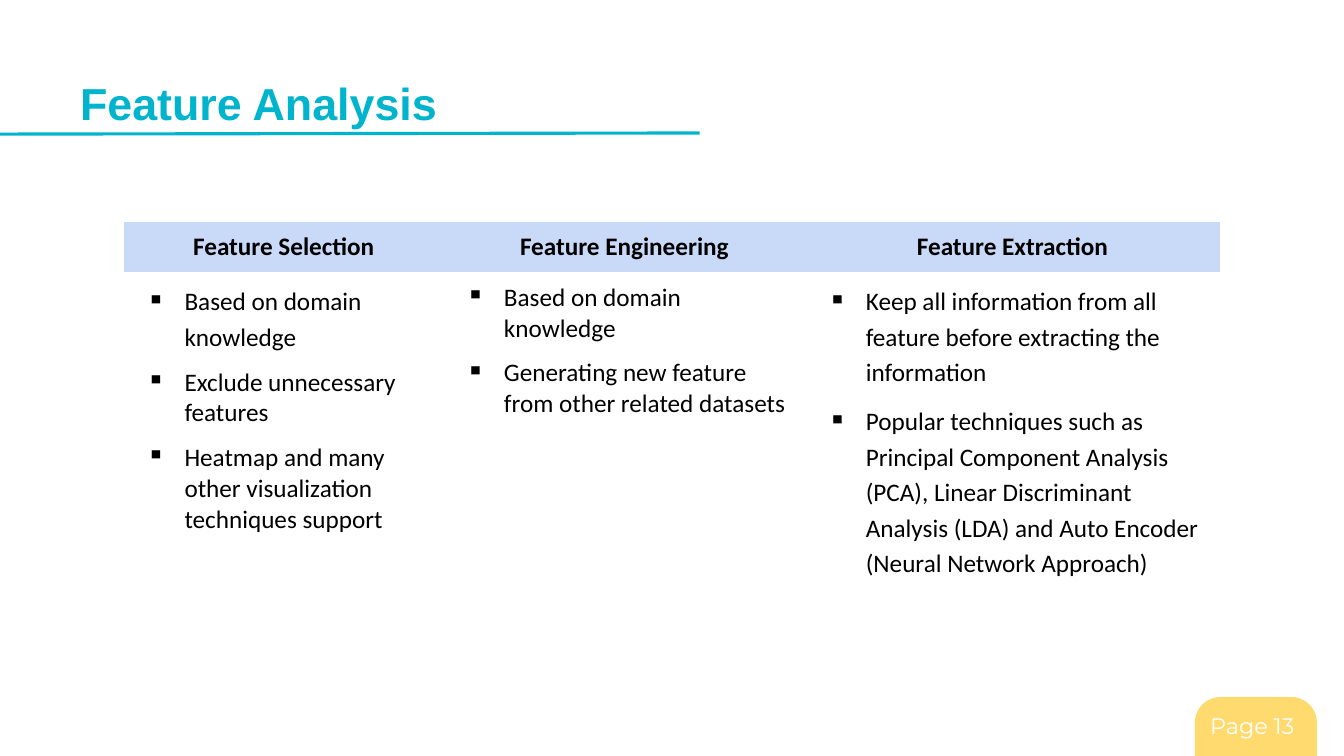
from lxml import etree
from pptx import Presentation
from pptx.dml.color import RGBColor
from pptx.enum import shapes, text
from pptx.oxml import parse_xml
from pptx.oxml.ns import nsdecls, qn
from pptx.util import Pt

TITLE = "Feature Analysis"
PAGE_LABEL = "Page 13"
# Each column: heading, width, bullets as (text, line spacing)
COLUMNS = [
    ("Feature Selection", 228.2, [
        ("Based on domain knowledge", 1.15),
        ("Exclude unnecessary features", 1.0),
        ("Heatmap and many other visualization techniques support", 1.0),
    ]),
    ("Feature Engineering", 258.5, [
        ("Based on domain knowledge", 1.0),
        ("Generating new feature from other related datasets", 1.0),
    ]),
    ("Feature Extraction", 295.9, [
        ("Keep all information from all feature before extracting the information", 1.15),
        ("Popular techniques such as Principal Component Analysis (PCA), "
         "Linear Discriminant Analysis (LDA) and Auto Encoder "
         "(Neural Network Approach)", 1.15),
    ]),
]
ROW_HEIGHTS = (18, 266.4)
THEME = {
    "accent": "00B4CE", "header": "C9DAF8", "tab": "FFDA6E",
    "ink": "000000", "light": "FFFFFF",
    "title_size": 32, "page_size": 16, "body_size": 18,
    "title_font": "Arial", "page_font": "Montserrat", "body_font": "Calibri",
}
NO_GRID_STYLE = "{2D5ABB26-0587-4C30-8999-92F81FD0307C}"


def color(name):
    return RGBColor.from_string(THEME[name])


def write(para, words, kind="body", ink="ink", bold=False, align=None,
          spacing=None, before=0, bullet=None):
    """Put one formatted run into a paragraph."""
    if bullet:
        properties = para._p.get_or_add_pPr()
        properties.set("marL", str(Pt(36)))
        properties.set("indent", str(-Pt(27)))
        mark_color = etree.SubElement(properties, qn("a:buClr"))
        etree.SubElement(mark_color, qn("a:srgbClr"), val=THEME["ink"])
        etree.SubElement(properties, qn("a:buChar"), char=bullet)
    if align is not None:
        para.alignment = align
    if spacing:
        para.line_spacing = spacing
    if before:
        para.space_before = Pt(before)
    span = para.add_run()
    span.text = words
    span.font.name = THEME[kind + "_font"]
    span.font.size = Pt(THEME[kind + "_size"])
    span.font.bold = bold
    span.font.color.rgb = color(ink)
    return span


def add_label(page, left, top, width, height, words, **style):
    box = page.shapes.add_textbox(Pt(left), Pt(top), Pt(width), Pt(height))
    frame = box.text_frame
    frame.word_wrap = True
    frame.margin_left = frame.margin_right = Pt(9)
    frame.margin_top = frame.margin_bottom = Pt(9)
    return write(frame.paragraphs[0], words, **style)


def add_page_tab(page):
    tab = page.shapes.add_shape(shapes.MSO_SHAPE.ROUND_2_SAME_RECTANGLE,
                                Pt(853.9), Pt(498.2), Pt(86.4), Pt(41.8))
    tab.adjustments[0] = 0.43
    tab.shadow.inherit = False
    tab.fill.solid()
    tab.fill.fore_color.rgb = color("tab")
    tab.line.color.rgb = color("tab")
    tab.line.width = Pt(0.75)
    span = add_label(page, 855.4, 499.7, 101.5, 38.9, PAGE_LABEL,
                     kind="page", ink="light")
    # Soft shadow behind the page number
    shadow = parse_xml(
        f'<a:effectLst {nsdecls("a")}><a:outerShdw blurRad="{Pt(3)}" '
        f'dist="{Pt(3)}" dir="2700000" algn="tl"><a:srgbClr val="{THEME["ink"]}">'
        '<a:alpha val="43000"/></a:srgbClr></a:outerShdw></a:effectLst>')
    span.font._element.find(qn("a:solidFill")).addnext(shadow)


def add_title(page):
    rule = page.shapes.add_connector(shapes.MSO_CONNECTOR.STRAIGHT,
                                     Pt(0), Pt(95.8), Pt(499.7), Pt(95))
    rule.line.color.rgb = color("accent")
    rule.line.width = Pt(2.25)
    etree.SubElement(rule._element.spPr, qn("a:effectLst"))
    add_label(page, 48.2, 45.4, 594.7, 58.3, TITLE,
              kind="title", ink="accent", bold=True)


def add_feature_table(page):
    total = sum(width for _, width, _ in COLUMNS)
    holder = page.shapes.add_table(2, len(COLUMNS), Pt(88.6), Pt(158.4),
                                   Pt(total), Pt(sum(ROW_HEIGHTS)))
    table = holder.table
    table.first_row = table.horz_banding = False
    table._tbl.tblPr.find(qn("a:tableStyleId")).text = NO_GRID_STYLE
    for row, height in zip(table.rows, ROW_HEIGHTS):
        row.height = Pt(height)
    for cell in table.iter_cells():
        cell.margin_left = cell.margin_right = Pt(7.2)
        cell.margin_top = cell.margin_bottom = Pt(7.2)
    for index, (heading, width, bullets) in enumerate(COLUMNS):
        table.columns[index].width = Pt(width)
        head, body = table.cell(0, index), table.cell(1, index)
        head.fill.solid()
        head.fill.fore_color.rgb = color("header")
        write(head.text_frame.paragraphs[0], heading, bold=True,
              align=text.PP_ALIGN.CENTER)
        body.fill.background()
        frame = body.text_frame
        for order, (words, spacing) in enumerate(bullets):
            para = frame.add_paragraph() if order else frame.paragraphs[0]
            write(para, words, bullet="▪", spacing=spacing,
                  before=10 if order else 0)


def main():
    deck = Presentation()
    deck.slide_width, deck.slide_height = Pt(960), Pt(540)
    page = deck.slides.add_slide(deck.slide_layouts[6])
    add_page_tab(page)
    add_title(page)
    add_feature_table(page)
    deck.save("out.pptx")


if __name__ == "__main__":
    main()
